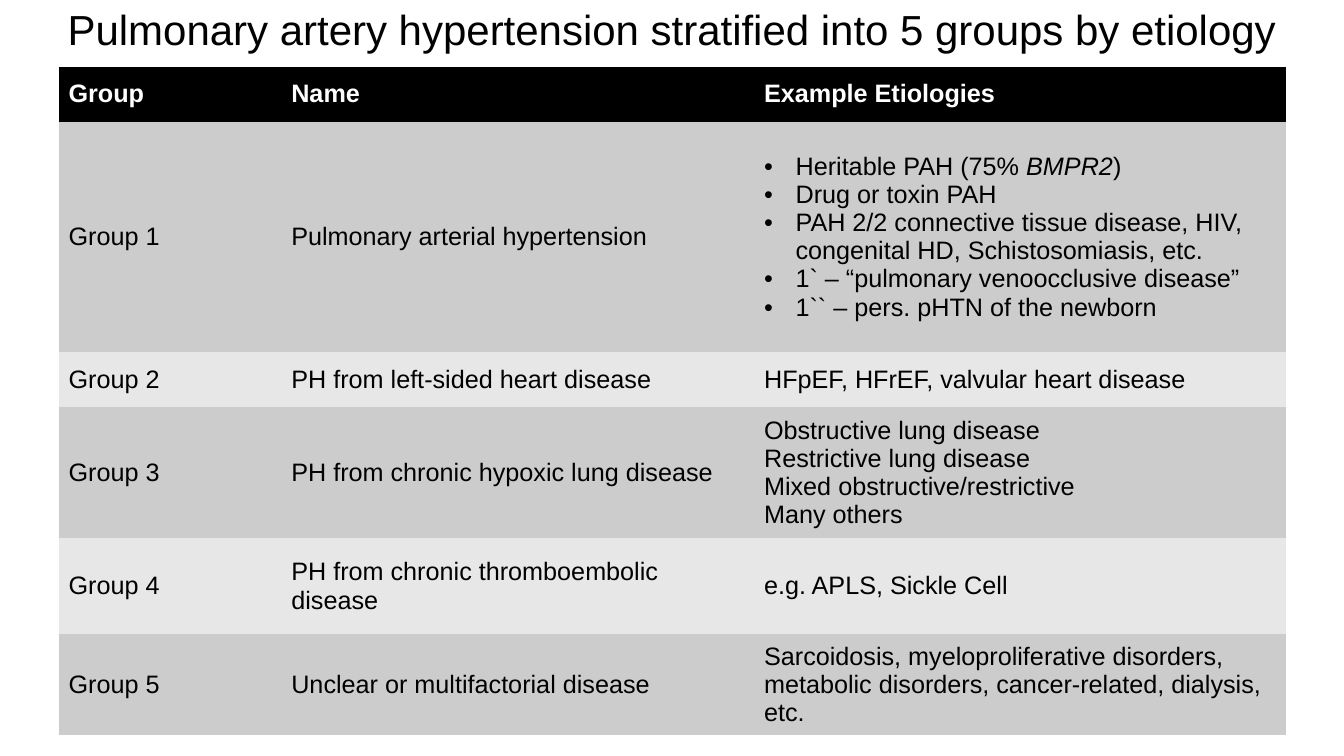
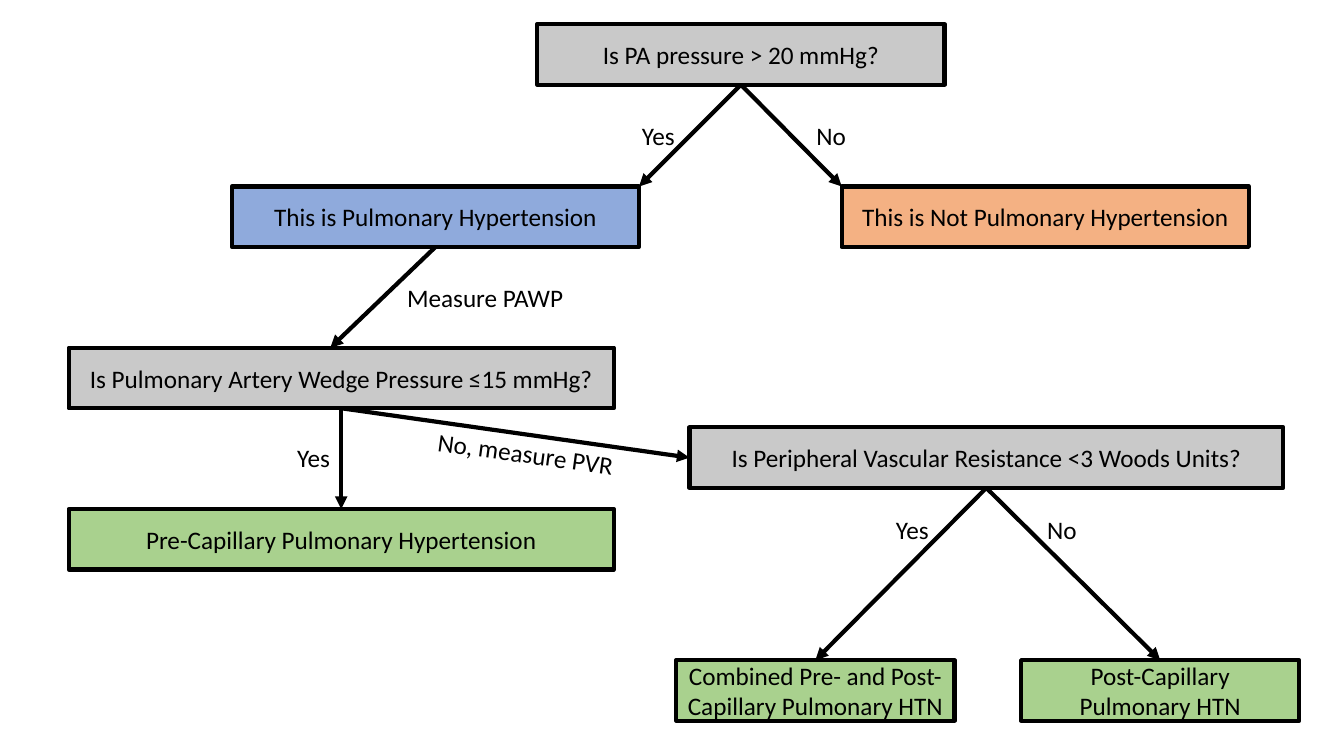
from lxml import etree
from pptx import Presentation
from pptx.dml.color import RGBColor
from pptx.enum.shapes import MSO_CONNECTOR, MSO_SHAPE
from pptx.enum.text import MSO_ANCHOR, PP_ALIGN
from pptx.oxml.ns import qn
from pptx.util import Pt

RECT = MSO_SHAPE.RECTANGLE
STRAIGHT = MSO_CONNECTOR.STRAIGHT
MIDDLE, TOP = MSO_ANCHOR.MIDDLE, MSO_ANCHOR.TOP
LEFT, CENTER = PP_ALIGN.LEFT, PP_ALIGN.CENTER

BLACK, WHITE = "000000", "FFFFFF"
BAND_DARK, BAND_LIGHT = "CCCCCC", "E7E7E7"
GREY, BLUE, ORANGE, GREEN = "C9C9C9", "8FAADC", "F4B183", "A9D18E"

TITLE = {"name": "Arial", "size": Pt(30)}
BODY = {"name": "Arial", "size": Pt(18)}
HEAD = {**BODY, "bold": True}
NODE = {"name": "Calibri", "size": Pt(18)}

PLAIN_TABLE = "{2D5ABB26-0587-4C30-8999-92F81FD0307C}"
BULLET_INDENT = Pt(22.5)
LINE_WIDTH = Pt(3)
NODE_H = 43.2
LABEL_H = 28.8
BOTTOM_SITE = 2
SITES = {(0.5, 0): 0, (0, 0.5): 1}

COLUMNS = (159.1, 337.7, 380.2)
ROW_HEIGHTS = (39.6, 164.2, 39.6, 93.6, 68.4, 72)
ROWS = [
    ("Group", "Name", ["Example Etiologies"]),
    ("Group 1", "Pulmonary arterial hypertension", [
        "• Heritable PAH (75% *BMPR2*)",
        "• Drug or toxin PAH",
        "• PAH 2/2 connective tissue disease, HIV, congenital HD, "
        "Schistosomiasis, etc.",
        "• 1` – “pulmonary venoocclusive disease”",
        "• 1`` – pers. pHTN of the newborn"]),
    ("Group 2", "PH from left-sided heart disease",
     ["HFpEF, HFrEF, valvular heart disease"]),
    ("Group 3", "PH from chronic hypoxic lung disease", [
        "Obstructive lung disease", "Restrictive lung disease",
        "Mixed obstructive/restrictive", "Many others"]),
    ("Group 4", "PH from chronic thromboembolic disease",
     ["e.g. APLS, Sickle Cell"]),
    ("Group 5", "Unclear or multifactorial disease", [
        "Sarcoidosis, myeloproliferative disorders, metabolic disorders, "
        "cancer-related, dialysis, etc."]),
]

NODES = {
    "pressure": (334.8, 0, 290.9, GREY, "Is PA pressure > 20 mmHg?"),
    "ph": (116.6, 115.9, 290.9, BLUE, "This is Pulmonary Hypertension"),
    "not_ph": (552.2, 115.9, 290.9, ORANGE,
               "This is Not Pulmonary Hypertension"),
    "wedge": (0, 231.1, 389.5, GREY,
              "Is Pulmonary Artery Wedge Pressure ≤15 mmHg?"),
    "pre": (0, 346.3, 389.5, GREEN, "Pre-Capillary Pulmonary Hypertension"),
    "resistance": (443.5, 288, 424.1, GREY,
                   "Is Peripheral Vascular Resistance <3 Woods Units?"),
    "post": (680.4, 454.3, 198.7, GREEN, "Post-Capillary\vPulmonary HTN"),
    "combined": (434.1, 454.3, 198.7, GREEN,
                 "Combined Pre- and Post- Capillary Pulmonary HTN"),
}
ARROWS = [
    ("pressure", "ph", (1, 0)),
    ("pressure", "not_ph", (0, 0)),
    ("ph", "wedge", (0.48, 0)),
    ("wedge", "pre", (0.5, 0)),
    ("wedge", "resistance", (0, 0.5)),
    ("resistance", "combined", (0.5, 0)),
    ("resistance", "post", (0.5, 0)),
]
LABELS = [
    (402.4, 64.8, 38.2, 0, "Yes"),
    (527, 64.8, 36, 0, "No"),
    (234.7, 180.7, 127.4, 0, "Measure PAWP"),
    (156.2, 295.2, 38.2, 0, "Yes"),
    (256.3, 292.3, 141.8, 7.9, "No, measure PVR"),
    (583.9, 346.3, 38.2, 0, "Yes"),
    (691.9, 346.3, 36, 0, "No"),
]


def rgb(value):
    return RGBColor.from_string(value)


def set_font(font, fmt, color):
    for name, value in fmt.items():
        setattr(font, name, value)
    font.color.rgb = rgb(color)


def set_fill(fill, color):
    fill.solid()
    fill.fore_color.rgb = rgb(color)


def add_bullet(p):
    pPr = p._p.get_or_add_pPr()
    pPr.set("marL", str(BULLET_INDENT))
    pPr.set("indent", str(-BULLET_INDENT))
    etree.SubElement(pPr, qn("a:buFont")).set("typeface", "Arial")
    etree.SubElement(pPr, qn("a:buChar")).set("char", "•")


def set_text(tf, text, fmt, align=LEFT, anchor=TOP, wrap=True):
    tf.word_wrap = wrap
    tf.vertical_anchor = anchor
    p = tf.paragraphs[0]
    p.text = text
    p.alignment = align
    for r in p.runs:
        set_font(r.font, fmt, BLACK)


def text_box(s, x, y, w, h, text, fmt, align=LEFT):
    sp = s.shapes.add_textbox(Pt(x), Pt(y), Pt(w), Pt(h))
    set_text(sp.text_frame, text, fmt, align, wrap=False)
    return sp


def fill_cell(cell, lines, fmt, color, background):
    set_fill(cell.fill, background)
    cell.vertical_anchor = MIDDLE
    tf = cell.text_frame
    for i, line in enumerate(lines):
        p = tf.add_paragraph() if i else tf.paragraphs[0]
        if line.startswith("• "):
            add_bullet(p)
        for j, part in enumerate(line.removeprefix("• ").split("*")):
            r = p.add_run()
            r.text = part
            set_font(r.font, {**fmt, "italic": j % 2 == 1}, color)


def etiology_table(s, x, y):
    table = s.shapes.add_table(
        len(ROWS), len(COLUMNS), Pt(x), Pt(y),
        Pt(sum(COLUMNS)), Pt(sum(ROW_HEIGHTS))).table
    table._tbl.tblPr.find(qn("a:tableStyleId")).text = PLAIN_TABLE
    for column, width in zip(table.columns, COLUMNS):
        column.width = Pt(width)
    for i, (group, name, examples) in enumerate(ROWS):
        table.rows[i].height = Pt(ROW_HEIGHTS[i])
        if i == 0:
            style = HEAD, WHITE, BLACK
        else:
            style = BODY, BLACK, BAND_DARK if i % 2 else BAND_LIGHT
        for j, lines in enumerate(([group], [name], examples)):
            fill_cell(table.cell(i, j), lines, *style)


def add_node(s, x, y, w, color, text):
    sp = s.shapes.add_shape(RECT, Pt(x), Pt(y), Pt(w), Pt(NODE_H))
    sp.shadow.inherit = False
    set_fill(sp.fill, color)
    sp.line.color.rgb = rgb(BLACK)
    sp.line.width = LINE_WIDTH
    set_text(sp.text_frame, text, NODE, CENTER, MIDDLE)
    return sp


def add_arrow(s, source, target, place):
    fx, fy = place
    c = s.shapes.add_connector(
        STRAIGHT, source.left, source.top,
        target.left + round(fx * target.width),
        target.top + round(fy * target.height))
    c.begin_connect(source, BOTTOM_SITE)
    if place in SITES:
        c.end_connect(target, SITES[place])
    c.line.color.rgb = rgb(BLACK)
    c.line.width = LINE_WIDTH
    ln = c.line._get_or_add_ln()
    etree.SubElement(ln, qn("a:tailEnd")).set("type", "triangle")
    etree.SubElement(c._element.spPr, qn("a:effectLst"))


def decision_tree(s, x, y):
    nodes = {key: add_node(s, x + dx, y + dy, w, color, text)
             for key, (dx, dy, w, color, text) in NODES.items()}
    for source, target, place in ARROWS:
        add_arrow(s, nodes[source], nodes[target], place)
    for dx, dy, w, angle, text in LABELS:
        sp = text_box(s, x + dx, y + dy, w, LABEL_H, text, NODE)
        sp.rotation = angle


def main():
    prs = Presentation()
    prs.slide_width, prs.slide_height = Pt(960), Pt(540)
    blank = prs.slide_layouts[6]

    s = prs.slides.add_slide(blank)
    text_box(s, 37.4, -1.4, 885.6, 43.9,
             "Pulmonary artery hypertension stratified into 5 groups by etiology",
             TITLE, CENTER)
    etiology_table(s, 41.8, 47.5)

    s = prs.slides.add_slide(blank)
    decision_tree(s, 49, 17.3)

    prs.save("out.pptx")


if __name__ == "__main__":
    main()
